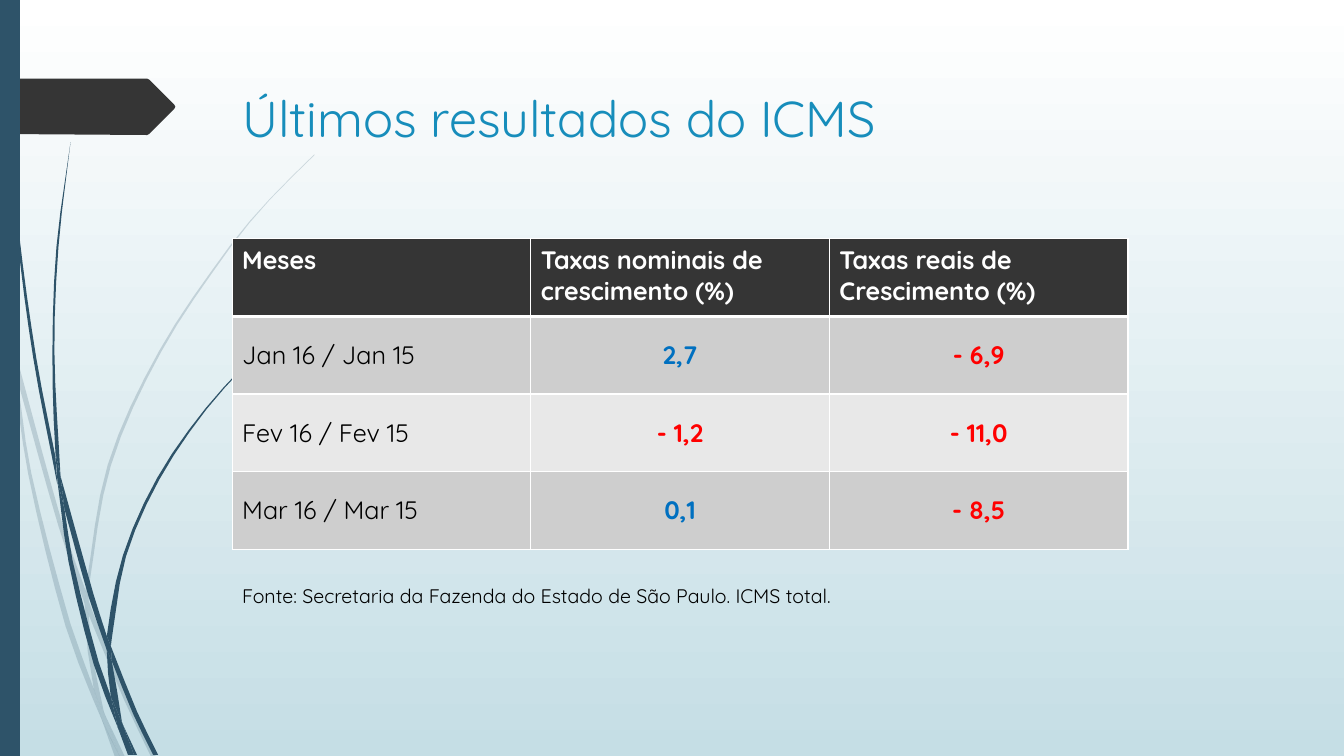
from math import dist
from lxml import etree
from pptx import Presentation
from pptx.dml.color import RGBColor
from pptx.enum.shapes import MSO_SHAPE
from pptx.enum.text import MSO_ANCHOR, MSO_AUTO_SIZE, PP_ALIGN
from pptx.oxml.ns import qn
from pptx.util import Cm, Pt

THEME = dict(
    font="Quicksand", title_size=36, table_size=18, source_size=14,
    title="178DBB", text="000000", white="FFFFFF", sky="C5DEE5",
    stem="2E5369", dark="353535", bands=("CECECE", "E8E8E8"),
    up="0070C0", down="FF0000", pale_alpha="20000",
)
UNIT = Cm(0.0254)  # grid of the stem and tag points


def write(tf, text, size, color, bold=False, align=PP_ALIGN.LEFT, anchor=MSO_ANCHOR.TOP):
    tf.word_wrap = True
    tf.vertical_anchor = anchor
    for i, line in enumerate(text.split("\n")):
        p = tf.paragraphs[0] if i == 0 else tf.add_paragraph()
        p.alignment = align
        r = p.add_run()
        r.text = line
        r.font.name, r.font.size, r.font.bold = THEME["font"], Pt(size), bold
        r.font.color.rgb = RGBColor.from_string(color)


def smooth(edge, reach=40):
    """Points of a cubic Hermite curve through the edge, at most about reach apart."""
    if len(edge) < 3:
        return edge
    h = [dist(a, b) for a, b in zip(edge, edge[1:])]
    last = len(edge) - 1
    slopes = []
    for i in range(len(edge)):
        a, b = max(i - 1, 0), min(i + 1, last)
        slopes.append([(edge[b][k] - edge[a][k]) / sum(h[a:b]) for k in (0, 1)])
    points = [edge[0]]
    for i in range(last):
        steps = 1 + int(h[i] / reach)
        for n in range(1, steps + 1):
            t = n / steps
            u = t * t * (3 - 2 * t)
            m0, m1 = h[i] * t * (1 - t) ** 2, h[i] * t * t * (t - 1)
            points.append(tuple(
                (1 - u) * edge[i][k] + u * edge[i + 1][k]
                + m0 * slopes[i][k] + m1 * slopes[i + 1][k] for k in (0, 1)))
    return points


prs = Presentation()
prs.slide_width, prs.slide_height = Cm(33.87), Cm(19.05)
s = prs.slides.add_slide(prs.slide_layouts[5])

# Background
fill = s.background.fill
fill.gradient()
fill.gradient_angle = 270
for stop, color in zip(fill.gradient_stops, (THEME["white"], THEME["sky"])):
    stop.color.rgb = RGBColor.from_string(color)

# Stems: each piece is two edges, out and back
PALE = [
    ([(11, 350), (9, 322), (0, 282)], [(0, 299), (10, 344)]),
    ([(17, 376), (58, 522), (84, 599)], [(85, 586), (62, 520), (14, 345)]),
    ([(88, 610), (123, 694), (150, 751)], [(155, 751), (127, 692), (92, 607), (88, 596)]),
    ([(119, 751), (124, 751)], [(105, 711)]),
    ([(11, 350), (28, 470), (65, 621), (92, 693), (101, 714)],
     [(99, 707), (93, 683), (70, 619), (31, 469), (17, 376), (11, 350)]),
    ([(84, 599), (87, 646), (93, 683), (96, 692), (105, 711)],
     [(103, 706), (91, 646), (88, 610), (84, 599)]),
    ([(88, 596), (88, 584), (110, 462), (160, 349), (229, 245), (268, 198), (312, 154)],
     [(312, 153), (268, 197), (228, 244), (158, 348), (107, 461), (85, 584), (85, 586)]),
    ([(101, 714), (114, 751)], [(119, 751)]),
    ([(84, 599), (88, 610)], [(88, 596), (85, 586)]),
    ([(93, 683), (99, 707), (101, 714), (119, 751)], [(105, 711), (96, 692)]),
]
DARK = [
    ([(3, 0), (7, 110), (17, 233), (33, 355), (57, 481)],
     [(55, 453), (36, 355), (19, 232), (8, 109), (4, 0)]),
    ([(64, 505), (88, 592), (106, 645)], [(106, 631), (93, 590), (60, 472)]),
    ([(111, 656), (132, 708), (152, 749)], [(157, 749), (136, 706), (110, 641)]),
    ([(57, 477), (68, 557), (93, 659), (117, 722)],
     [(110, 691), (98, 657), (72, 556), (64, 505), (57, 477)]),
    ([(60, 472), (54, 349), (58, 245), (70, 141)],
     [(70, 141), (56, 245), (52, 349), (55, 449), (60, 472)]),
    ([(133, 749), (136, 749)], [(122, 719)]),
    ([(57, 477), (64, 505)], [(60, 472), (55, 449)]),
    ([(111, 633), (125, 552), (158, 476), (205, 406), (261, 344)],
     [(260, 344), (204, 405), (156, 474), (122, 551), (106, 631), (110, 641)]),
    ([(117, 722), (127, 749)], [(131, 749)]),
    ([(106, 645), (110, 691), (122, 719)], [(121, 716), (111, 656), (106, 645)]),
    ([(106, 645), (111, 656)], [(110, 641), (106, 631)]),
    ([(110, 691), (117, 722), (130, 749)], [(133, 749), (122, 719)]),
]
TAG = [(0, 78), (146, 78), (148, 79), (173, 104), (174, 106),
       (173, 108), (148, 133), (146, 134), (0, 133)]

outlines = [(smooth(a) + smooth(b), "stem", True) for a, b in PALE]
outlines += [(smooth(a) + smooth(b), "stem", False) for a, b in DARK]
outlines.append((TAG, "dark", False))
for points, color, pale in outlines:
    points = [(x * UNIT, y * UNIT) for x, y in points]
    builder = s.shapes.build_freeform(*points[0], scale=1.0)
    builder.add_line_segments(points[1:], close=True)
    sp = builder.convert_to_shape()
    sp.shadow.inherit = False
    sp.fill.solid()
    sp.fill.fore_color.rgb = RGBColor.from_string(THEME[color])
    sp.line.fill.background()
    if pale:
        clr = sp._element.spPr.find(qn("a:solidFill"))[0]
        etree.SubElement(clr, qn("a:alpha"), val=THEME["pale_alpha"])

# Side bar
bar = s.shapes.add_shape(MSO_SHAPE.RECTANGLE, 0, 0, Cm(0.5), prs.slide_height)
bar.shadow.inherit = False
bar.fill.solid()
bar.fill.fore_color.rgb = RGBColor.from_string(THEME["stem"])
bar.line.fill.background()

# Title
title = s.shapes.title
title.left, title.top, title.width, title.height = Cm(5.85), Cm(2.08), Cm(24.76), Cm(3.56)
title.text_frame.auto_size = MSO_AUTO_SIZE.NONE
write(title.text_frame, "Últimos resultados do ICMS", THEME["title_size"], THEME["title"])

# Source line
source = s.shapes.add_textbox(Cm(5.85), Cm(14.6), Cm(22.4), Cm(0.86))
write(source.text_frame, "Fonte: Secretaria da Fazenda do Estado de São Paulo. ICMS total.",
      THEME["source_size"], THEME["text"])

# Table of growth rates
ROWS = [
    ("Meses", "Taxas nominais de crescimento (%)", "Taxas reais de\nCrescimento (%)"),
    ("Jan 16 / Jan 15", "2,7", "- 6,9"),
    ("Fev 16 / Fev 15", "- 1,2", "- 11,0"),
    ("Mar 16 / Mar 15", "0,1", "- 8,5"),
]
table = s.shapes.add_table(4, 3, Cm(5.85), Cm(6.02), Cm(22.58), Cm(7.82)).table
for i, row in enumerate(ROWS):
    for j, text in enumerate(row):
        cell = table.cell(i, j)
        tcPr = cell._tc.get_or_add_tcPr()
        for side in "LRTB":
            thick = (i, side) in ((0, "B"), (1, "T"))
            ln = etree.SubElement(tcPr, qn(f"a:ln{side}"), w=str(Pt(3 if thick else 1)))
            line_fill = etree.SubElement(ln, qn("a:solidFill"))
            etree.SubElement(line_fill, qn("a:srgbClr"), val=THEME["white"])
        cell.fill.solid()
        cell.fill.fore_color.rgb = RGBColor.from_string(
            THEME["bands"][(i - 1) % 2] if i else THEME["dark"])
        if i == 0:
            color = THEME["white"]
        elif j == 0:
            color = THEME["text"]
        else:
            color = THEME["down" if text.startswith("-") else "up"]
        write(cell.text_frame, text, THEME["table_size"], color, bold=i == 0 or j > 0,
              align=PP_ALIGN.CENTER if i and j else PP_ALIGN.LEFT)
        cell.vertical_anchor = MSO_ANCHOR.MIDDLE if i else MSO_ANCHOR.TOP

prs.save("out.pptx")
